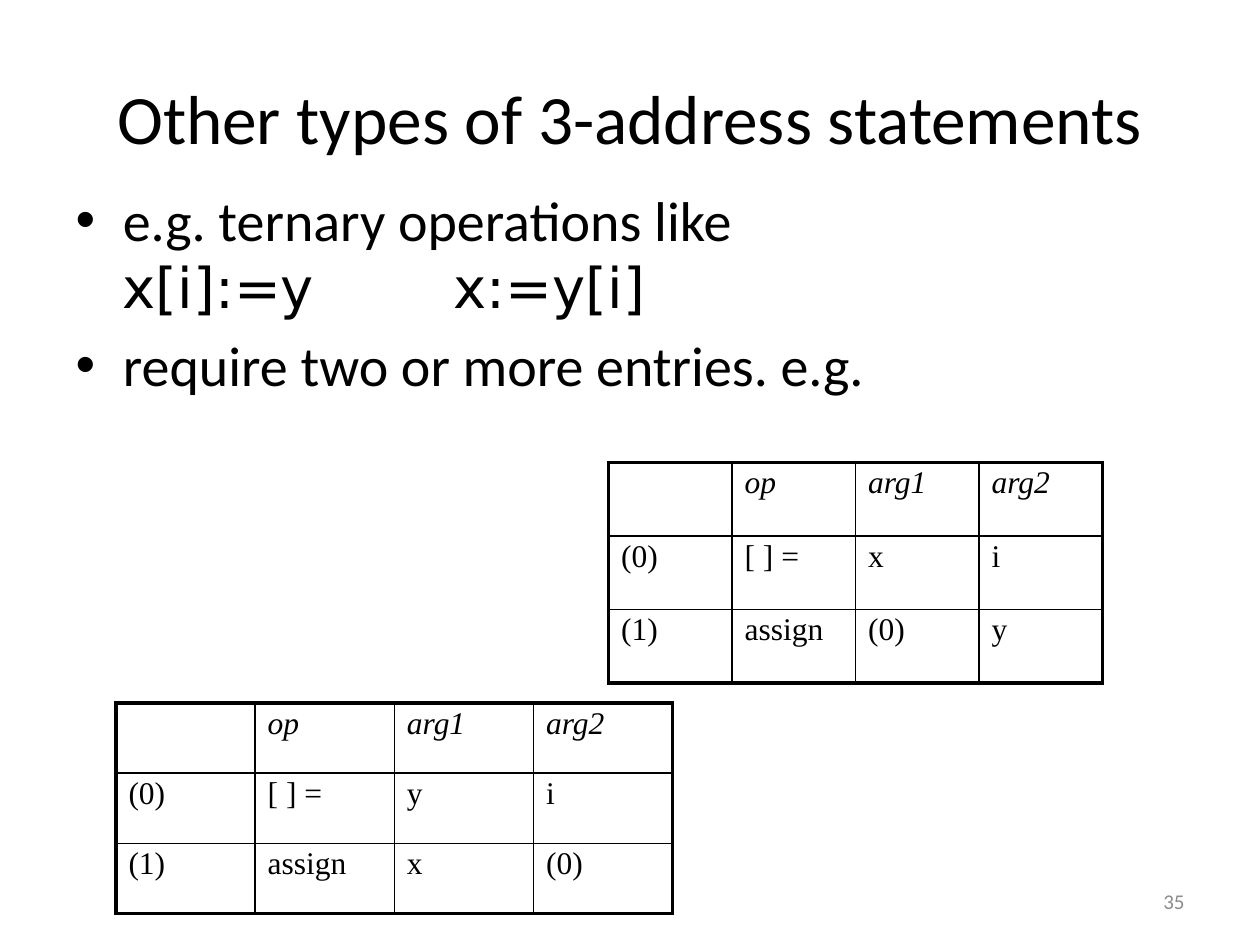
from lxml.etree import SubElement
from pptx import Presentation
from pptx.dml.color import RGBColor
from pptx.enum.text import MSO_ANCHOR, PP_ALIGN
from pptx.oxml.ns import qn
from pptx.util import Inches, Pt

BLACK = RGBColor(0x00, 0x00, 0x00)
GREY = RGBColor(0x8C, 0x8C, 0x8C)
TITLE = {"name": "Calibri", "size": Pt(39.6)}
BODY = {"name": "Calibri", "size": Pt(32)}
CODE = {"name": "DejaVu Sans", "size": Pt(32)}
CELL = {"name": "Times New Roman", "size": Pt(18), "italic": False}
HEADING = {**CELL, "italic": True}
NUMBER = {"name": "Calibri", "size": Pt(12)}
THIN, THICK = Pt(1), Pt(2.25)
HEADINGS = ["", "op", "arg1", "arg2"]


def place(shape, box):
    """Move a shape to a box of left, top, width and height in inches."""
    shape.left, shape.top, shape.width, shape.height = map(Inches, box)


def add_span(para, text, style, color=BLACK):
    """Add a formatted run to a paragraph."""
    span = para.add_run()
    span.text = text
    for name, value in style.items():
        setattr(span.font, name, value)
    span.font.color.rgb = color


def add_title(page, box, text):
    """Fill the title placeholder."""
    title = page.shapes.title
    place(title, box)
    frame = title.text_frame
    frame.vertical_anchor = MSO_ANCHOR.MIDDLE
    frame.paragraphs[0].alignment = PP_ALIGN.CENTER
    add_span(frame.paragraphs[0], text, TITLE)


def add_body(page, box):
    """Fill the body placeholder with the two bullets."""
    body = page.placeholders[1]
    place(body, box)
    frame = body.text_frame
    first = frame.paragraphs[0]
    first.space_before = Pt(0)
    add_span(first, "e.g. ternary operations like", BODY)
    first.add_line_break()
    add_span(first, "x[i]:=y\t\t\tx:=y[i]", CODE)
    second = frame.add_paragraph()
    second.space_before = Pt(6.4)
    add_span(second, "require two or more entries. e.g.", BODY)


def add_border(cell, side, width):
    """Draw one black edge of a cell."""
    line = SubElement(cell._tc.get_or_add_tcPr(), qn(f"a:ln{side}"), w=str(width))
    fill = SubElement(line, qn("a:solidFill"))
    SubElement(fill, qn("a:srgbClr"), val=str(BLACK))


def add_triples(page, box, entries):
    """Add a table of triples with a thick frame and thin inner lines."""
    rows = [HEADINGS, *entries]
    last_row, last_column = len(rows) - 1, len(HEADINGS) - 1
    table = page.shapes.add_table(
        len(rows), len(HEADINGS), *map(Inches, box)
    ).table
    table.first_row = table.horz_banding = False
    for r, row in enumerate(rows):
        for c, text in enumerate(row):
            cell = table.cell(r, c)
            outer = {"L": c == 0, "R": c == last_column,
                     "T": r == 0, "B": r == last_row}
            for side, is_outer in outer.items():
                add_border(cell, side, THICK if is_outer else THIN)
            cell.fill.background()
            if text:
                para = cell.text_frame.paragraphs[0]
                para.line_spacing = 0.89
                add_span(para, text, CELL if r else HEADING)


def add_page_number(page, box, text):
    """Add the page number at the lower right."""
    frame = page.shapes.add_textbox(*map(Inches, box)).text_frame
    frame.word_wrap = True
    frame.vertical_anchor = MSO_ANCHOR.MIDDLE
    frame.paragraphs[0].alignment = PP_ALIGN.RIGHT
    add_span(frame.paragraphs[0], text, NUMBER, GREY)


def main():
    """Build the slide and save it."""
    deck = Presentation()
    deck.slide_width, deck.slide_height = Inches(10), Inches(7.5)
    page = deck.slides.add_slide(deck.slide_layouts[1])
    add_title(page, (0.5, 0.3, 9, 1.25), "Other types of 3-address statements")
    add_body(page, (0.5, 1.42, 9, 6.08))
    add_page_number(page, (7.17, 6.95, 2.33, 0.4), "35")
    add_triples(page, (4.83, 3.67, 3.92, 1.75),
                [["(0)", "[ ] =", "x", "i"], ["(1)", "assign", "(0)", "y"]])
    add_triples(page, (0.92, 5.58, 4.42, 1.67),
                [["(0)", "[ ] =", "y", "i"], ["(1)", "assign", "x", "(0)"]])
    deck.save("out.pptx")


if __name__ == "__main__":
    main()
